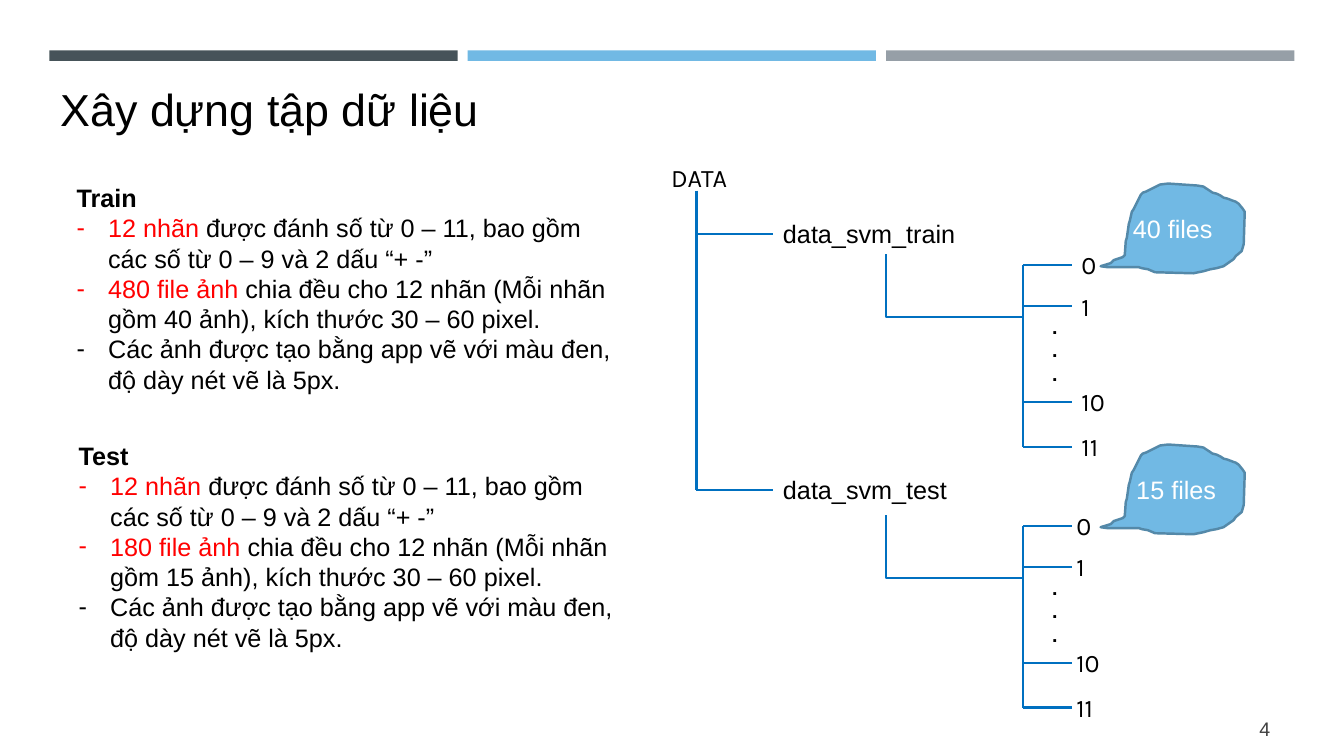
from lxml.etree import SubElement
from pptx import Presentation
from pptx.dml.color import RGBColor
from pptx.enum.shapes import MSO_CONNECTOR as CONNECTOR, MSO_SHAPE as SHAPE
from pptx.enum.text import MSO_ANCHOR as ANCHOR, MSO_AUTO_SIZE as AUTO_SIZE, PP_ALIGN as ALIGN
from pptx.oxml.ns import qn
from pptx.util import Pt

COLORS = {
    "slate": "465359", "sky": "71B9E4", "gray": "969FA7", "balloon_edge": "5489A9",
    "branch": "0070C0", "text": "000000", "number": "404040",
    "highlight": "FF0000", "white": "FFFFFF",
}
BARS = [("slate", 35.3), ("sky", 334), ("gray", 633)]
DATASETS = [
    # heading, files in all, files per label, list left, list top
    ("Train", 480, 40, 47.5, 126.7),
    ("Test", 180, 15, 49, 311),
]
BRANCHES = [
    # balloon text, top of the branch, left of its labels
    ("40 files", 189.4, 765.4),
    (" 15 files", 375.8, 761.8),
]
LABELS = [("0", 0), ("1", 29.5), ("10", 97.9), ("11", 129.6)]
TRUNK_X = 730.8
ROOT_X = 497.5
BALLOON_UNIT = Pt(0.72)
BALLOON = [
    (0, 82), (10, 79), (13, 76), (22, 73), (24, 71), (25, 57), (26, 54), (28, 40), (29, 37),
    (31, 28), (33, 25), (35, 21), (40, 11), (42, 9), (45, 8), (51, 5), (59, 1), (67, 0),
    (96, 2), (102, 3), (108, 7), (111, 9), (115, 10), (119, 12), (122, 14), (126, 15),
    (131, 17), (134, 18), (137, 20), (141, 25), (143, 28), (142, 60), (140, 67), (134, 72),
    (132, 75), (122, 82), (115, 84), (109, 85), (102, 87), (92, 89), (54, 88), (47, 85),
    (41, 84), (38, 83), (7, 83),
]


def color(name):
    return RGBColor.from_string(COLORS[name])


def add_run(paragraph, text, size=18, ink="text", font="Arial", bold=False):
    run = paragraph.add_run()
    run.text = text
    run.font.size = Pt(size)
    run.font.name = font
    run.font.bold = bold
    run.font.color.rgb = color(ink)


def place(shape, left, top, width, height):
    shape.left, shape.top, shape.width, shape.height = Pt(left), Pt(top), Pt(width), Pt(height)


def add_text(slide, lines, left, top, width, height, align=ALIGN.LEFT, anchor=ANCHOR.TOP, **style):
    box = slide.shapes.add_textbox(Pt(left), Pt(top), Pt(width), Pt(height))
    frame = box.text_frame
    frame.word_wrap = True
    frame.vertical_anchor = anchor
    for index, line in enumerate(lines):
        paragraph = frame.add_paragraph() if index else frame.paragraphs[0]
        paragraph.alignment = align
        add_run(paragraph, line, **style)


def add_bar(slide, fill, left):
    bar = slide.shapes.add_shape(SHAPE.RECTANGLE, Pt(left), Pt(36), Pt(291.6), Pt(7.5))
    bar.shadow.inherit = False
    bar.fill.solid()
    bar.fill.fore_color.rgb = color(fill)
    bar.line.fill.background()


def add_line(slide, start, end, kind=CONNECTOR.STRAIGHT):
    points = [Pt(value) for value in (*start, *end)]
    connector = slide.shapes.add_connector(kind, *points)
    connector.line.color.rgb = color("branch")
    connector.line.width = Pt(1.5)
    properties = connector.element.spPr
    SubElement(properties, qn("a:effectLst"))
    if kind == CONNECTOR.ELBOW:
        properties.find(qn("a:prstGeom")).set("prst", "bentConnector2")


def add_balloon(slide, text, left, top):
    builder = slide.shapes.build_freeform(*BALLOON[0], scale=BALLOON_UNIT)
    builder.add_line_segments(BALLOON[1:], close=True)
    balloon = builder.convert_to_shape(Pt(left), Pt(top))
    balloon.shadow.inherit = False
    balloon.fill.solid()
    balloon.fill.fore_color.rgb = color("sky")
    balloon.line.color.rgb = color("balloon_edge")
    balloon.line.width = Pt(1.75)
    balloon.text_frame.vertical_anchor = ANCHOR.MIDDLE
    paragraph = balloon.text_frame.paragraphs[0]
    paragraph.alignment = ALIGN.CENTER
    add_run(paragraph, text, ink="white")


def set_bullet(paragraph, character=None):
    """Give the paragraph a hanging bullet, or none and no indent."""
    paragraph.space_before = Pt(0)
    indent = Pt(22.5) if character else 0
    properties = paragraph._p.get_or_add_pPr()
    properties.set("marL", str(indent))
    properties.set("indent", str(-indent))
    if character:
        SubElement(properties, qn("a:buChar"), char=character)
    else:
        SubElement(properties, qn("a:buNone"))


def fill_list(placeholder, heading, total, per_label, left, top):
    place(placeholder, left, top, 401, 203.8)
    frame = placeholder.text_frame
    frame.auto_size = AUTO_SIZE.NONE
    set_bullet(frame.paragraphs[0])
    add_run(frame.paragraphs[0], heading, bold=True)
    items = [
        ("12 nhãn ", "được đánh số từ 0 – 11, bao gồm các số từ 0 – 9 và 2 dấu “+ -”"),
        (f"{total} file ảnh ",
         f"chia đều cho 12 nhãn (Mỗi nhãn gồm {per_label} ảnh), kích thước 30 – 60 pixel."),
        ("", "Các ảnh được tạo bằng app vẽ với màu đen, độ dày nét vẽ là 5px."),
    ]
    for highlight, rest in items:
        paragraph = frame.add_paragraph()
        set_bullet(paragraph, "-")
        if highlight:
            add_run(paragraph, highlight, ink="highlight")
        add_run(paragraph, rest)


def add_root(slide):
    add_text(slide, ["DATA"], 472.3, 112.3, 129.6, 28.8, font="Karla")
    add_line(slide, (ROOT_X, 136.1), (ROOT_X, 349.9))
    for name, y in [("data_svm_train", 167), ("data_svm_test", 349.9)]:
        add_line(slide, (ROOT_X, y), (552.2, y))
        add_text(slide, [name], 552.2, y - 14.6, 162, 28.8)


def add_branch(slide, balloon_text, top, label_left):
    add_line(slide, (TRUNK_X, top + 37.4), (632.9, top - 8), CONNECTOR.ELBOW)
    add_line(slide, (TRUNK_X, top), (TRUNK_X, top + LABELS[-1][1]))
    for label, offset in LABELS:
        y = top + offset
        add_line(slide, (TRUNK_X, y), (765.4, y))
        add_text(slide, [label], label_left, y - 14.7, 80.6, 28.8, font="Karla")
    add_text(slide, ["."] * 3, 744.5, top + 31.7, 41.8, 58.3, size=14, bold=True)
    add_balloon(slide, balloon_text, 786.2, top - 58.3)


def main():
    presentation = Presentation()
    presentation.slide_width, presentation.slide_height = Pt(960), Pt(540)
    slide = presentation.slides.add_slide(presentation.slide_layouts[3])
    for fill, left in BARS:
        add_bar(slide, fill, left)

    title, *lists = slide.placeholders
    place(title, 36, 54.7, 571.7, 46.1)
    title.text_frame.vertical_anchor = ANCHOR.MIDDLE
    title.text_frame.paragraphs[0].alignment = ALIGN.LEFT
    add_run(title.text_frame.paragraphs[0], "Xây dựng tập dữ liệu", size=32)
    for placeholder, dataset in zip(lists, DATASETS):
        fill_list(placeholder, *dataset)

    add_root(slide)
    for branch in BRANCHES:
        add_branch(slide, *branch)
    add_text(slide, ["4"], 831.6, 506.2, 82.8, 28.8, ALIGN.RIGHT, ANCHOR.MIDDLE,
             size=14, ink="number")
    presentation.save("out.pptx")


if __name__ == "__main__":
    main()
